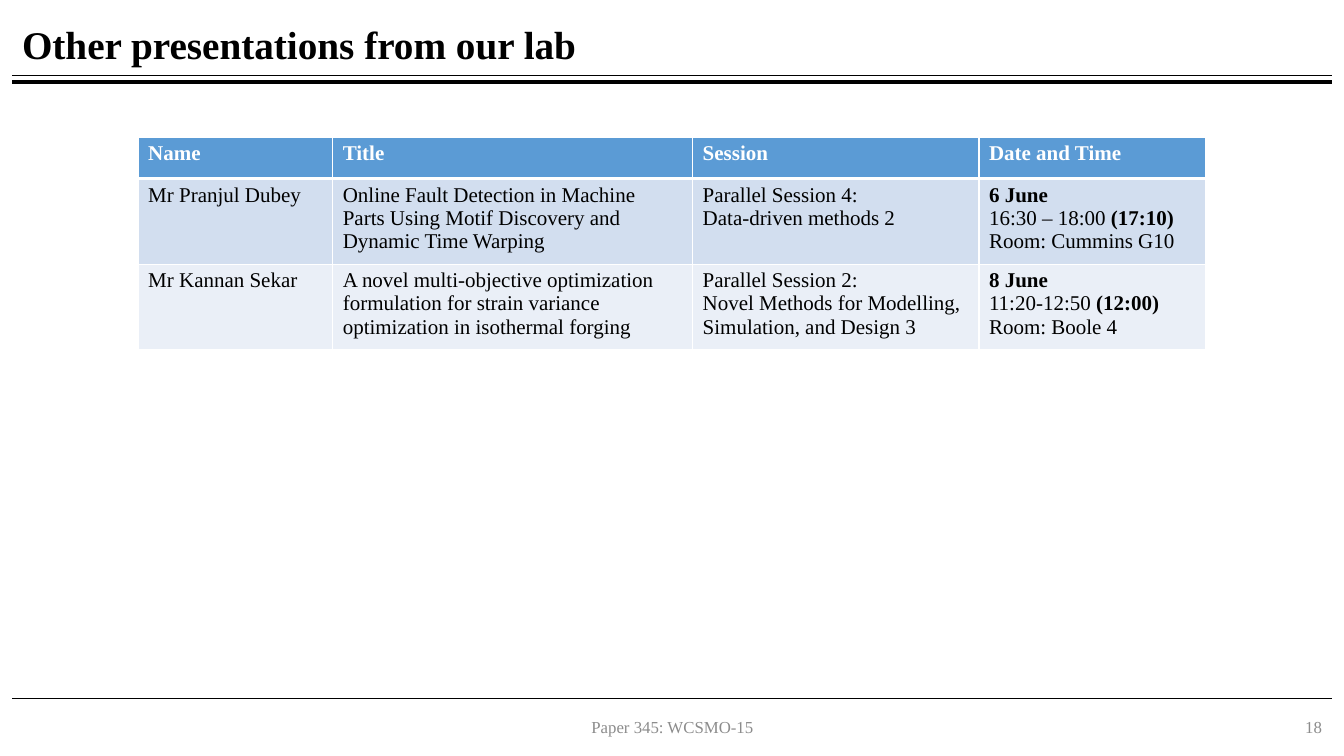
from typing import NamedTuple

from lxml.etree import SubElement
from pptx import Presentation
from pptx.dml.color import RGBColor
from pptx.enum.shapes import MSO_CONNECTOR
from pptx.enum.text import MSO_ANCHOR, PP_ALIGN
from pptx.oxml.ns import qn
from pptx.util import Inches, Pt

FACE = "Times New Roman"
LEFT, RIGHT = 0.12, 13.21


class Rule(NamedTuple):
    y: float
    width: float


class Label(NamedTuple):
    text: str
    box: tuple[float, float, float, float]
    size: int
    color: str
    bold: bool
    align: PP_ALIGN
    gap: float


class Row(NamedTuple):
    height: float
    fill: str
    color: str
    top: int
    base: int
    cells: list[str]


RULES = [Rule(0.75, 0.5), Rule(0.81, 3), Rule(6.93, 0.5)]
LABELS = [
    Label("Other presentations from our lab", (LEFT, 0.11, 13.09, 0.7),
          28, "000000", True, PP_ALIGN.LEFT, 0.9),
    Label("Paper 345: WCSMO-15", (4.42, 7.01, 4.5, 0.4),
          12, "8C8C8C", False, PP_ALIGN.CENTER, 1.0),
    Label("18", (10.21, 7.01, 3, 0.4),
          12, "8C8C8C", False, PP_ALIGN.RIGHT, 1.0),
]
# Asterisks enclose bold text; a line break starts a paragraph
COLS = [1.93, 3.57, 2.84, 2.25]
ROWS = [
    Row(0.41, "5B9BD5", "FFFFFF", 1, 3,
        ["*Name*", "*Title*", "*Session*", "*Date and Time*"]),
    Row(0.79, "D2DEEF", "000000", 3, 1, [
        "Mr Pranjul Dubey",
        "Online Fault Detection in Machine Parts Using Motif Discovery "
        "and Dynamic Time Warping",
        "Parallel Session 4:\nData-driven methods 2",
        "*6 June*\n16:30 – 18:00 *(17:10)*\nRoom: Cummins G10"]),
    Row(0.79, "EAEFF7", "000000", 1, 1, [
        "Mr Kannan Sekar",
        "A novel multi-objective optimization formulation for strain "
        "variance optimization in isothermal forging",
        "Parallel Session 2:\nNovel Methods for Modelling, Simulation, "
        "and Design 3",
        "*8 June*\n11:20-12:50 *(12:00)*\nRoom: Boole 4"]),
]


def tint(target, color: str) -> None:
    target.rgb = RGBColor.from_string(color)


def style(font, size: float, color: str, bold: bool) -> None:
    form = {"name": FACE, "size": Pt(size), "bold": bold}
    for key, value in form.items():
        setattr(font, key, value)
    tint(font.color, color)


def draw_rule(slide, rule: Rule) -> None:
    line = slide.shapes.add_connector(
        MSO_CONNECTOR.STRAIGHT, Inches(LEFT), Inches(rule.y),
        Inches(RIGHT), Inches(rule.y))
    line.line.width = Pt(rule.width)
    tint(line.line.color, "000000")
    SubElement(line._element.spPr, qn("a:effectLst"))


def draw_label(slide, label: Label) -> None:
    frame = slide.shapes.add_textbox(*map(Inches, label.box)).text_frame
    frame.word_wrap = True
    frame.vertical_anchor = MSO_ANCHOR.MIDDLE
    para = frame.paragraphs[0]
    para.alignment = label.align
    para.line_spacing = label.gap
    run = para.add_run()
    run.text = label.text
    style(run.font, label.size, label.color, label.bold)


def edge(cell, side: str, width: float) -> None:
    line = SubElement(cell._tc.get_or_add_tcPr(), qn(f"a:ln{side}"),
                      w=str(Pt(width)))
    fill = SubElement(line, qn("a:solidFill"))
    SubElement(fill, qn("a:srgbClr"), val="FFFFFF")


def fill_cell(cell, text: str, row: Row) -> None:
    widths = {"L": 1, "R": 1, "T": row.top, "B": row.base}
    for side, width in widths.items():
        edge(cell, side, width)
    cell.fill.solid()
    tint(cell.fill.fore_color, row.fill)
    frame = cell.text_frame
    for i, words in enumerate(text.split("\n")):
        para = frame.add_paragraph() if i else frame.paragraphs[0]
        for j, part in enumerate(words.split("*")):
            if part:
                run = para.add_run()
                run.text = part
                style(run.font, 15, row.color, j % 2 == 1)


def draw_table(slide) -> None:
    height = sum(row.height for row in ROWS)
    table = slide.shapes.add_table(
        len(ROWS), len(COLS), Inches(1.37), Inches(1.36),
        Inches(sum(COLS)), Inches(height)).table
    for col, width in zip(table.columns, COLS):
        col.width = Inches(width)
    for line, row in zip(table.rows, ROWS):
        line.height = Inches(row.height)
        for cell, text in zip(line.cells, row.cells):
            fill_cell(cell, text, row)


def main() -> None:
    deck = Presentation()
    deck.slide_width, deck.slide_height = Inches(13.33), Inches(7.5)
    slide = deck.slides.add_slide(deck.slide_layouts[6])
    # Rules under the title and above the footer
    for rule in RULES:
        draw_rule(slide, rule)
    # Title, footer and page number
    for label in LABELS:
        draw_label(slide, label)
    # Schedule of talks
    draw_table(slide)
    deck.save("out.pptx")


if __name__ == "__main__":
    main()
